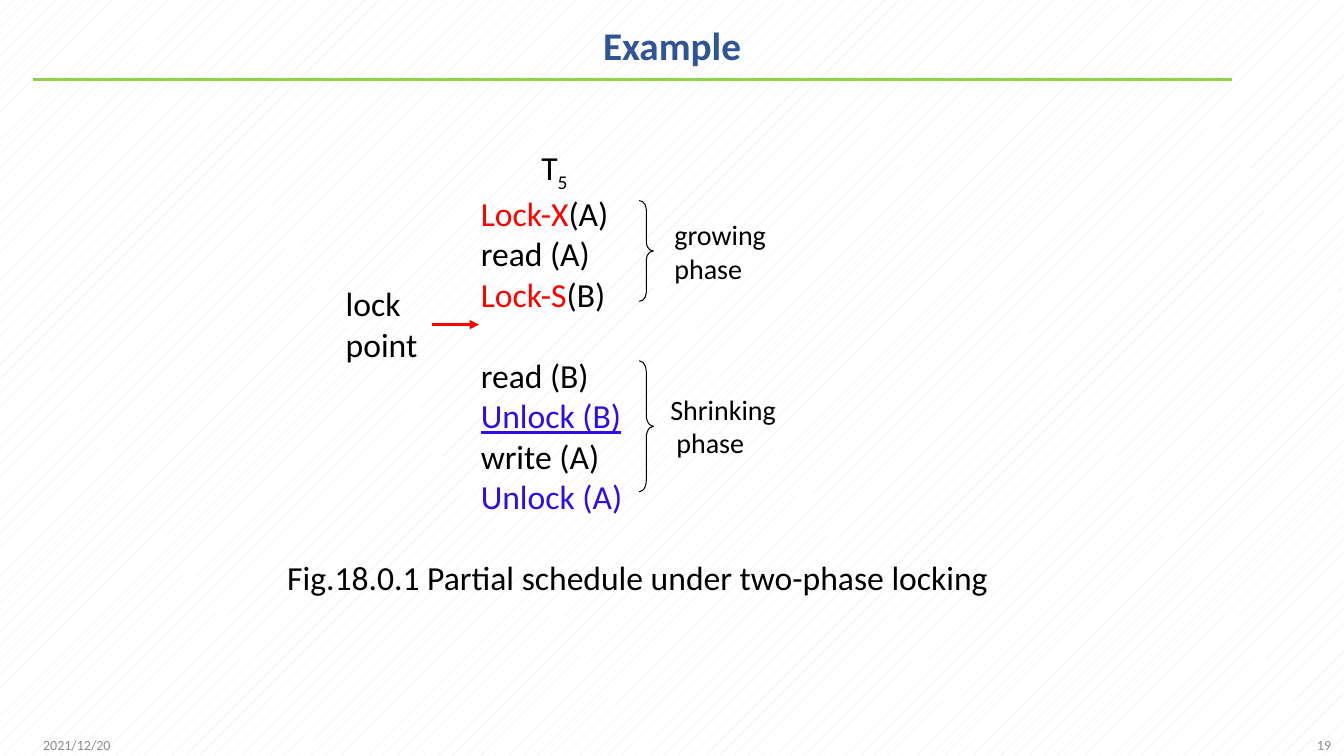
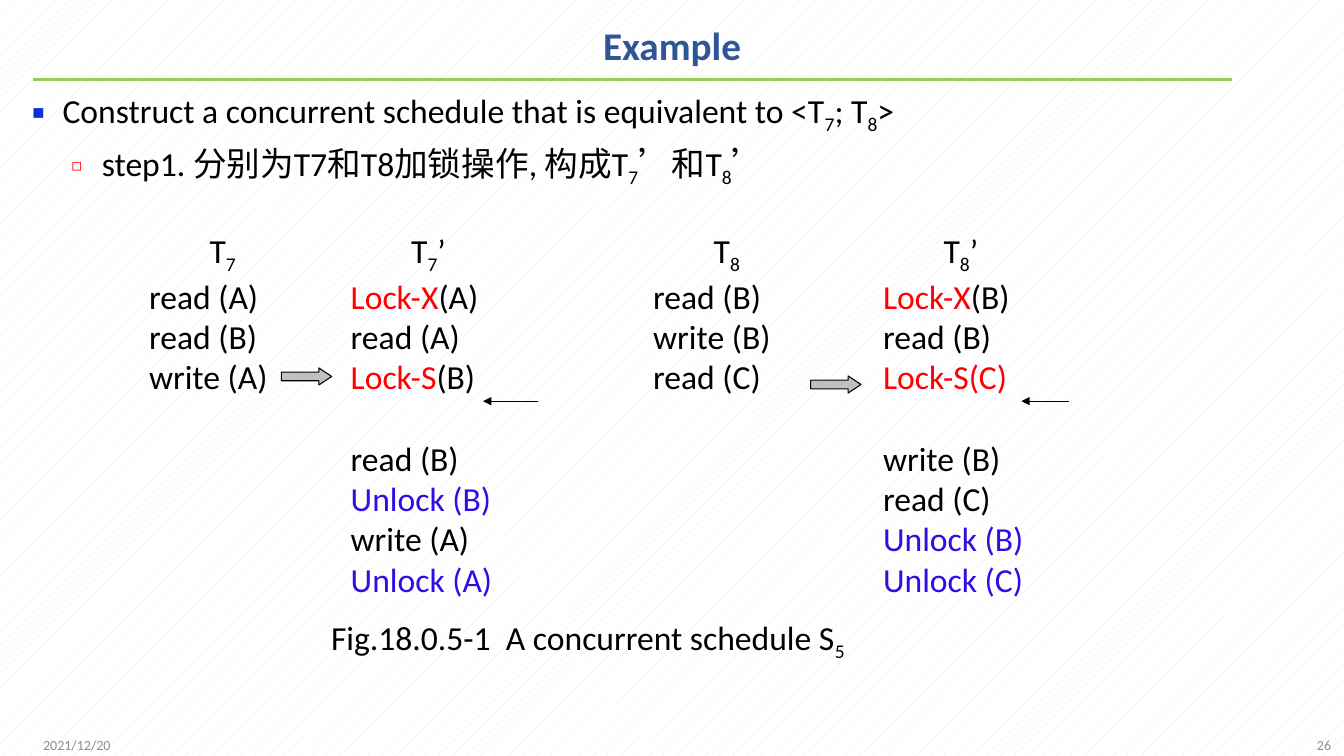
"""Build two lecture slides on two-phase locking schedules."""
from pptx import Presentation
from pptx import util as u
from pptx.dml.color import RGBColor
from pptx.enum import dml, shapes, text
from pptx.oxml.ns import qn
from lxml import etree

BLACK = RGBColor(0x00, 0x00, 0x00)
RED = RGBColor(0xFF, 0x00, 0x00)
BLUE = RGBColor(0x2D, 0x0E, 0xE4)
TITLE_BLUE = RGBColor(0x2F, 0x55, 0x97)
BULLET_BLUE = RGBColor(0x0B, 0x32, 0xD9)
RULE_GREEN = RGBColor(0x92, 0xD0, 0x50)
FOOTER_GREY = RGBColor(0x8C, 0x8C, 0x8C)
ARROW_GREY = RGBColor(0xC0, 0xC0, 0xC0)
HATCH = RGBColor(0xDC, 0xEC, 0xE0)
WHITE = RGBColor(0xFF, 0xFF, 0xFF)

FONT = "Calibri"
TITLE = "Example"
DATE = "2021/12/20"
TITLE_AT = (0.34, 0.09, 12.65, 0.77)
BODY_AT = (0.22, 0.84, 12.94, 6.36)
FOOTER_TOP, FOOTER_WIDTH, FOOTER_HEIGHT = 7.19, 3, 0.4
HEADING_INDENT = 0.6
LINE_GAP = 29.3


def lock(mode, item):
    return [(f"Lock-{mode}", {"color": RED}), f"({item})"]


def unlock(item, **extra):
    return [(f"Unlock ({item})", {"color": BLUE, **extra})]


def sub(digit):
    return (digit, {"baseline": -25})


T5 = {"at": (4.67, 1.41, 2.15, 4.14), "name": ["T", sub("5")],
      "before": [lock("X", "A"), ["read (A)"], lock("S", "B")],
      "after": [["read (B)"], unlock("B", underline=True), ["write (A)"], unlock("A")]}
PHASES = [
    {"brace": (6.34, 1.99, 0.14, 1), "curve": 0.615,
     "label": [["growing"], ["phase"]], "at": (6.59, 2.11, 1.4, 0.77), "indent": 0},
    {"brace": (6.34, 3.58, 0.14, 1.3), "curve": 0.799,
     "label": [["Shrinking"], ["phase"]], "at": (6.55, 3.84, 1.4, 0.77), "indent": 0.06},
]
LOCK_POINT_AT = (3.33, 2.76, 0.95, 0.92)
TWO_PHASE_CAPTION = ["Fig.18.0.1 Partial schedule under two-phase locking"]

TASK = [
    {"runs": ["Construct a concurrent schedule that is equivalent to <T", sub("7"),
              "; T", sub("8"), ">"],
     "level": 0, "margin": 0.3, "before": 0, "bullet": ("■", BULLET_BLUE, 60)},
    {"runs": ["step1. 分别为T7和T8加锁操作, 构成T", sub("7"), ("’", {"name": "Arial"}),
              "和T", sub("8"), ("’", {"name": "Arial"})],
     "level": 1, "margin": 0.69, "before": 5, "bullet": ("◻", RED, 50)},
]
COLUMN_TOP, COLUMN_WIDTH = 2.23, 2.15
COLUMNS = [
    {"left": 1.38, "height": 2.12, "name": ["T", sub("7")],
     "before": [["read (A)"], ["read (B)"], ["write (A)"]], "after": []},
    {"left": 3.38, "height": 4.14, "name": ["T", sub("7"), "’"],
     "before": [lock("X", "A"), ["read (A)"], lock("S", "B")],
     "after": [["read (B)"], unlock("B"), ["write (A)"], unlock("A")]},
    {"left": 6.38, "height": 2.12, "name": ["T", sub("8")],
     "before": [["read (B)"], ["write (B)"], ["read (C)"]], "after": []},
    {"left": 8.66, "height": 4.14, "name": ["T", sub("8"), "’"],
     "before": [lock("X", "B"), ["read (B)"], [("Lock-S(C)", {"color": RED})]],
     "after": [["write (B)"], ["read (C)"], unlock("B"), unlock("C")]},
]
BLOCK_ARROWS = [(2.79, 3.65, 0.5, 0.17), (8.04, 3.73, 0.5, 0.17)]
LOCK_POINT_MARKS = [(5.34, 4.79), (10.6, 10.13)]
LOCK_POINT_Y = 3.98
CONCURRENT_CAPTION = ["Fig.18.0.5-1  A concurrent schedule S", sub("5")]


def inches(values):
    return [u.Inches(value) for value in values]


def place(part, at):
    for side, value in zip(("left", "top", "width", "height"), inches(at)):
        setattr(part, side, value)


def fill_paragraph(paragraph, runs, **base):
    for piece in runs:
        words, extra = (piece, {}) if isinstance(piece, str) else piece
        look = {"name": FONT, "size": 24, "color": BLACK, **base, **extra}
        run = paragraph.add_run()
        run.text = words
        run.font.color.rgb = look.pop("color")
        run.font.size = u.Pt(look.pop("size"))
        if "baseline" in look:
            run.font._element.set("baseline", str(look.pop("baseline") * 1000))
        for key, value in look.items():
            setattr(run.font, key, value)


def indent(paragraph, margin, first=0):
    properties = paragraph._p.get_or_add_pPr()
    properties.set("marL", str(u.Inches(margin)))
    properties.set("indent", str(u.Inches(first)))


def add_text(slide, at, lines, align=text.PP_ALIGN.LEFT,
             anchor=text.MSO_ANCHOR.TOP, **base):
    box = slide.shapes.add_textbox(*inches(at))
    frame = box.text_frame
    for key, value in {"word_wrap": True, "vertical_anchor": anchor}.items():
        setattr(frame, key, value)
    for number, runs in enumerate(lines):
        paragraph = frame.add_paragraph() if number else frame.paragraphs[0]
        paragraph.alignment = align
        fill_paragraph(paragraph, runs, **base)
    return box


def add_line(slide, start, end, color, width, arrow=False):
    line = slide.shapes.add_connector(shapes.MSO_CONNECTOR.STRAIGHT,
                                      *inches(start + end))
    line.line.color.rgb = color
    line.line.width = u.Pt(width)
    if arrow:
        etree.SubElement(line.get_or_add_ln(), qn("a:tailEnd"), type="triangle")
    etree.SubElement(line.element.spPr, qn("a:effectLst"))
    return line


def add_outline(slide, kind, at, adjustments, fill=None):
    shape = slide.shapes.add_shape(kind, *inches(at))
    shape.shadow.inherit = False
    if fill is None:
        shape.fill.background()
    else:
        shape.fill.solid()
        shape.fill.fore_color.rgb = fill
    shape.line.color.rgb = BLACK
    shape.line.width = u.Pt(0.75)
    for number, value in enumerate(adjustments):
        shape.adjustments[number] = value


def add_schedule(slide, at, schedule):
    lines = [schedule["name"], *schedule["before"], *schedule["after"]]
    paragraphs = add_text(slide, at, lines).text_frame.paragraphs
    indent(paragraphs[0], HEADING_INDENT)
    if schedule["after"]:
        paragraphs[1 + len(schedule["before"])].space_before = u.Pt(LINE_GAP)


def add_bullet(paragraph, char, color, percent):
    properties = paragraph._p.get_or_add_pPr()
    tint = etree.SubElement(properties, qn("a:buClr"))
    etree.SubElement(tint, qn("a:srgbClr"), val=str(color))
    etree.SubElement(properties, qn("a:buSzPct"), val=str(percent * 1000))
    etree.SubElement(properties, qn("a:buChar"), char=char)


def style_master(prs):
    master = prs.slide_master
    fill = master.background.fill
    fill.patterned()
    fill.pattern = dml.MSO_PATTERN.PERCENT_5
    fill.fore_color.rgb = HATCH
    fill.back_color.rgb = WHITE
    spots = {shapes.PP_PLACEHOLDER.TITLE: TITLE_AT, shapes.PP_PLACEHOLDER.BODY: BODY_AT}
    for holder in master.placeholders:
        if holder.placeholder_format.type in spots:
            place(holder, spots[holder.placeholder_format.type])


def start_slide(prs, layout, number):
    slide = prs.slides.add_slide(prs.slide_layouts[layout])
    heading = slide.shapes.title.text_frame
    heading.vertical_anchor = text.MSO_ANCHOR.MIDDLE
    paragraph = heading.paragraphs[0]
    paragraph.alignment = text.PP_ALIGN.CENTER
    paragraph.line_spacing = 0.9
    fill_paragraph(paragraph, [TITLE], size=28, color=TITLE_BLUE, bold=True)
    for left, words, align in ((0.33, DATE, text.PP_ALIGN.LEFT),
                               (10.3, number, text.PP_ALIGN.RIGHT)):
        add_text(slide, (left, FOOTER_TOP, FOOTER_WIDTH, FOOTER_HEIGHT), [[words]],
                 align, text.MSO_ANCHOR.MIDDLE, size=10, color=FOOTER_GREY)
    return slide


def two_phase_slide(prs):
    slide = start_slide(prs, 5, "19")
    title_rule = add_line(slide, (0.33, 0.79), (12.22, 0.79), RULE_GREEN, 2.25)
    prs.slide_master.shapes.element.append(title_rule.element)
    add_schedule(slide, T5["at"], T5)
    lock_point = add_text(slide, LOCK_POINT_AT, [["lock"], ["point"]])
    pointer = add_line(slide, (4.28, 3.22), (4.75, 3.22), RED, 2.25, arrow=True)
    pointer.begin_connect(lock_point, 3)
    for phase in PHASES:
        add_outline(slide, shapes.MSO_SHAPE.RIGHT_BRACE, phase["brace"],
                    (phase["curve"], 0.5))
        label = add_text(slide, phase["at"], phase["label"], size=20)
        indent(label.text_frame.paragraphs[1], phase["indent"])
    add_text(slide, (2.75, 5.48, 7.29, 0.5), [TWO_PHASE_CAPTION])


def concurrent_slide(prs):
    slide = start_slide(prs, 1, "26")
    body = slide.placeholders[1].text_frame
    body.auto_size = text.MSO_AUTO_SIZE.NONE
    for number, item in enumerate(TASK):
        paragraph = body.add_paragraph() if number else body.paragraphs[0]
        paragraph.level = item["level"]
        paragraph.space_before = u.Pt(item["before"])
        indent(paragraph, item["margin"], -0.3)
        add_bullet(paragraph, *item["bullet"])
        fill_paragraph(paragraph, item["runs"])
    for column in COLUMNS:
        at = (column["left"], COLUMN_TOP, COLUMN_WIDTH, column["height"])
        add_schedule(slide, at, column)
    for at in BLOCK_ARROWS:
        add_outline(slide, shapes.MSO_SHAPE.RIGHT_ARROW, at, (0.5, 0.75), ARROW_GREY)
    for start, end in LOCK_POINT_MARKS:
        add_line(slide, (start, LOCK_POINT_Y), (end, LOCK_POINT_Y), BLACK, 0.75, arrow=True)
    add_text(slide, (2.87, 6.07, 5.92, 0.5), [CONCURRENT_CAPTION], text.PP_ALIGN.CENTER)


def main():
    prs = Presentation()
    prs.slide_width, prs.slide_height = inches((13.33, 7.5))
    style_master(prs)
    two_phase_slide(prs)
    concurrent_slide(prs)
    prs.save("out.pptx")


if __name__ == "__main__":
    main()
